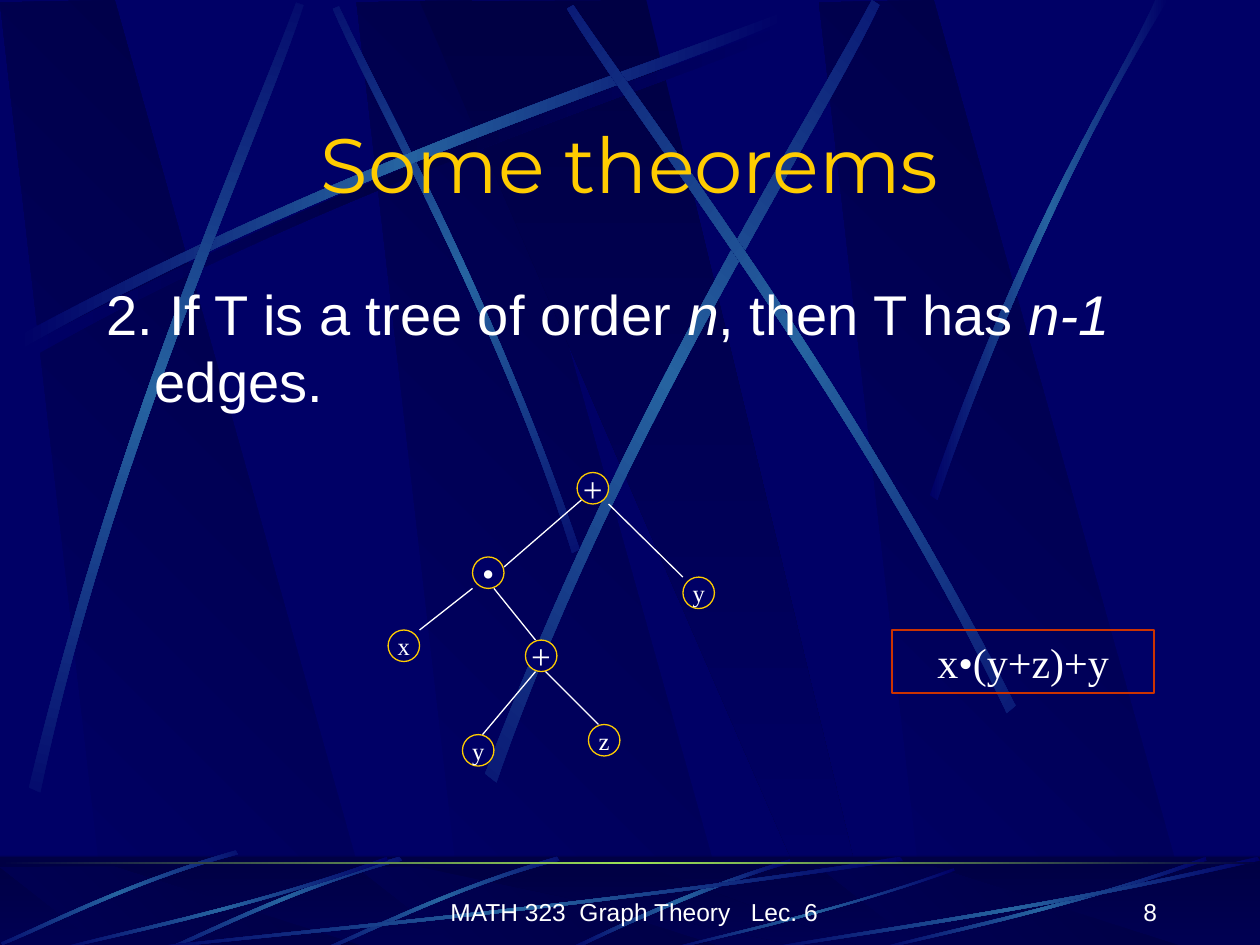
"""Build the slide on the edge count of a tree."""
import math

import lxml.etree
import pptx
import pptx.dml.color
import pptx.enum.shapes
import pptx.enum.text
import pptx.oxml.ns
import pptx.util

Inches, Pt = pptx.util.Inches, pptx.util.Pt
RGB = pptx.dml.color.RGBColor.from_string
KIND = pptx.enum.shapes.MSO_SHAPE
ALIGN = pptx.enum.text.PP_ALIGN
ANCHOR = pptx.enum.text.MSO_ANCHOR
qn = pptx.oxml.ns.qn

THEME = {
    "navy": "000066", "dark": "000044", "beam": "2663A0", "lime": "9CE157",
    "gold": "FFCC00", "white": "FFFFFF", "red": "CC3300",
    "title": 44, "body": 32, "sum": 24, "sign": 20, "small": 14, "line": 0.75,
    "head": "Montserrat", "sans": "Arial", "serif": "Times New Roman",
}
FALL = ["navy", "dark"]
RISE = ["dark", "navy"]
GLOW = ["navy", "beam", "navy"]
SHADE = ["navy", "dark", "navy"]
RULE = ["dark", "lime", "dark"]

WEDGE = [(0.86, 7.5), (3.02, 7.52), (0.91, 0), (0, 0.02)]
FAN = [(3.33, 0.01), (6.58, 7.51), (6.94, 7.51), (5.13, 0)]
SHIFTS = [2.83, 0, 6.5]
BANDS = [(0, 1), (6.88, 0.09)]

LONG = [(0.14, 2.67), (2.78, 1.25), (5.18, 0.51), (6.2, 0.1),
        (6.23, 0.16), (5.22, 0.61), (2.48, 1.43), (0.17, 2.77)]
ARC = [(3.17, 6.8), (2.3, 7.05), (1.62, 7.4), (1.31, 7.53),
       (1.32, 7.55), (1.63, 7.43), (2.4, 7.03), (3.19, 6.83)]
REED = [(3.08, 6.83), (1.93, 7.23), (0.88, 7.44), (0.43, 7.55),
        (0.42, 7.54), (0.86, 7.41), (2.06, 7.18), (3.07, 6.8)]
BEAMS = [
    (LONG, (0.06, 0.08), 0, SHADE),
    ([(4.6, 4.36), (3.91, 2.34), (3.02, 0.77), (2.69, 0.05),
      (2.64, 0.07), (2.95, 0.79), (3.98, 2.58), (4.54, 4.39)], (0, 0), 45, GLOW),
    (LONG, (0, 0), 0, GLOW),
    ([(0.23, 6.25), (0.93, 3.34), (1.97, 1.05), (2.35, 0.02),
      (2.41, 0.04), (2.07, 1.08), (0.86, 3.68), (0.32, 6.29)], (0, 0), 311.7, GLOW),
    ([(3.85, 6.14), (4.98, 3.2), (6.38, 1.02), (6.92, 0),
      (6.98, 0.04), (6.49, 1.08), (4.86, 3.55), (3.94, 6.21)], (0, 0), 321.6, GLOW),
    ([(8.06, 5.6), (6.7, 2.93), (5.16, 0.95), (4.55, 0.04),
      (4.5, 0.07), (5.07, 1.01), (6.85, 3.25), (7.99, 5.66)], (0, 0), 34.8, GLOW),
    ([(7.38, 3.93), (8.14, 1.73), (8.88, 0.66), (9.17, 0),
      (9.27, 0), (8.36, 1.45), (7.69, 3.22), (7.44, 3.97)], (0, 0), 0, GLOW),
]
STRIPS = [
    ([(6.27, 6.82), (5.37, 7.09), (4.77, 7.42), (4.48, 7.54),
      (4.53, 7.55), (4.9, 7.37), (5.71, 7), (6.28, 6.85)], (0, 0), 0, GLOW),
    (ARC, (1.25, 0), 314.9, GLOW),
    (ARC, (0, 0), 314.9, GLOW),
    (ARC, (-1.3, -0.05), 314.9, GLOW),
    ([(7.17, 6.83), (4.49, 7.23), (2.06, 7.44), (1.03, 7.55),
      (1, 7.54), (2.02, 7.41), (4.8, 7.18), (7.14, 6.8)], (0, 0), 0, GLOW),
    (REED, (0, 0), 0, GLOW),
    ([(7.58, 6.91), (6.58, 7.26), (5.67, 7.45), (5.28, 7.55),
      (5.27, 7.54), (5.65, 7.43), (6.69, 7.22), (7.57, 6.89)], (0, 0), 0, GLOW),
    (REED, (6.5, 0), 0, GLOW),
    ([(10, 6.83), (8.27, 7.23), (6.69, 7.44), (6.02, 7.55),
      (6, 7.54), (6.66, 7.41), (8.46, 7.18), (9.98, 6.8)], (0, 0), 0, GLOW),
]

STEM = [((4.67, 3.92), (4, 4.5))]
EDGES = [((4.83, 4), (5.42, 4.58)), ((3.75, 4.67), (3.33, 5)),
         ((3.92, 4.67), (4.25, 5.08)), ((4.25, 5.33), (3.83, 5.83)),
         ((4.33, 5.33), (4.75, 5.75))]
NODES = [("+", 4.58, 3.75), ("•", 3.75, 4.42), ("x", 3.08, 5), ("+", 4.17, 5.08),
         ("y", 3.67, 5.83), ("y", 5.42, 4.58), ("z", 4.67, 5.75)]
SIZE = 0.25
LABELS = [
    ((3.45, 6.9, 3.17, 0.5), ["MATH 323  Graph Theory   Lec. 6"], "small", "sans", "white",
     ALIGN.CENTER, ANCHOR.BOTTOM),
    ((7.2, 6.9, 2.08, 0.5), ["8"], "small", "sans", "white", ALIGN.RIGHT, ANCHOR.BOTTOM),
    ((0.75, 0.88, 8.5, 0.83), ["Some theorems"], "title", "head", "gold",
     ALIGN.CENTER, ANCHOR.MIDDLE),
    ((0.75, 2.17, 8.5, 1.25),
     ["2. If T is a tree of order ", "n", ", then T has ", "n-1", " edges."],
     "body", "sans", "white", ALIGN.LEFT, ANCHOR.TOP),
]
HANG = {"marL": 0.38, "indent": -0.38}
FORM = ((7.08, 5, 2.08, 0.5), ["x•(y+z)+y"])


def apply(item, values):
    for name, value in values.items():
        setattr(item, name, value)


def blend(shape, names, angle=0):
    shape.shadow.inherit = False
    shape.line.fill.background()
    shape.fill.gradient()
    shape.fill.gradient_angle = -angle % 360
    stops = shape._element.spPr.find(".//" + qn("a:gsLst"))
    stops.clear()
    for i, name in enumerate(names):
        stop = lxml.etree.SubElement(stops, qn("a:gs"), pos=str(i * 100000 // (len(names) - 1)))
        lxml.etree.SubElement(stop, qn("a:srgbClr"), val=THEME[name])


def turn(x, y, angle):
    c, s = math.cos(math.radians(angle)), math.sin(math.radians(angle))
    return x * c - y * s, x * s + y * c


def bend(shape):
    lines = shape._element.spPr.findall(".//" + qn("a:lnTo"))
    for side in (lines[:3], lines[4:7]):
        arc = lxml.etree.Element(qn("a:cubicBezTo"))
        side[0].addprevious(arc)
        for line in side:
            arc.append(line[0])
            line.getparent().remove(line)


def outline(slide, points, names, angle=0, spin=0):
    flat = [turn(Inches(x), Inches(y), -spin) for x, y in points]
    pen = slide.shapes.build_freeform(*flat[0], scale=1.0)
    pen.add_line_segments(flat[1:], close=True)
    shape = pen.convert_to_shape()
    w, h = shape.width / 2, shape.height / 2
    x, y = turn(shape.left + w, shape.top + h, spin)
    apply(shape, {"left": round(x - w), "top": round(y - h), "rotation": spin})
    blend(shape, names, angle)
    return shape


def glass(slide, top, scale):
    for dx in SHIFTS:
        outline(slide, [(x + dx, top + y * scale) for x, y in WEDGE], FALL, 315)
    outline(slide, [(x, top + y * scale) for x, y in FAN], RISE, 90)


def rays(slide, rows):
    for points, (dx, dy), spin, names in rows:
        (ax, ay), (bx, by) = points[0], points[3]
        slope = math.degrees(math.atan2(by - ay, bx - ax))
        angle = (spin + slope + 90) % 360 if spin else 0
        bend(outline(slide, [(x + dx, y + dy) for x, y in points], names, angle, spin))


def block(slide, kind, box):
    shape = slide.shapes.add_shape(kind, *map(Inches, box))
    shape.shadow.inherit = False
    return shape


def write(shape, parts, size, face, tint, align, anchor, wrap=True, gap=0):
    frame = shape.text_frame
    apply(frame, {"word_wrap": wrap, "vertical_anchor": anchor})
    para = frame.paragraphs[0]
    apply(para, {"alignment": align, "space_before": Pt(gap)})
    for i, text in enumerate(parts):
        run = para.add_run()
        run.text = text
        apply(run.font, {"size": Pt(THEME[size]), "name": THEME[face], "italic": i % 2 == 1})
        run.font.color.rgb = RGB(THEME[tint])
    return para


def border(line, tint):
    line.color.rgb = RGB(THEME[tint])
    line.width = Pt(THEME["line"])


def paint(shape, tint):
    shape.fill.solid()
    shape.fill.fore_color.rgb = RGB(THEME[tint])


def scene(slide):
    paint(slide.background, "navy")
    glass(slide, *BANDS[0])
    rays(slide, BEAMS)
    blend(block(slide, KIND.RECTANGLE, (0, 6.8, 10, 0.75)), RISE, 90)
    glass(slide, *BANDS[1])
    veil = block(slide, KIND.RECTANGLE, (0, 6.79, 10, 0.75))
    paint(veil, "dark")
    veil.line.fill.background()
    tint = veil._element.spPr.find(".//" + qn("a:srgbClr"))
    lxml.etree.SubElement(tint, qn("a:alpha"), val="50000")
    rays(slide, STRIPS)
    blend(block(slide, KIND.RECTANGLE, (0, 6.84, 10, 0.02)), RULE)


def join(slide, rows):
    for start, end in rows:
        edge = slide.shapes.add_connector(
            pptx.enum.shapes.MSO_CONNECTOR.STRAIGHT, *map(Inches, start + end))
        border(edge.line, "white")
        lxml.etree.SubElement(edge._element.spPr, qn("a:effectLst"))


def main():
    deck = pptx.Presentation()
    apply(deck, {"slide_width": Inches(10), "slide_height": Inches(7.5)})
    slide = deck.slides.add_slide(deck.slide_layouts[6])
    scene(slide)
    join(slide, STEM)
    for box, parts, size, *look in LABELS:
        label = slide.shapes.add_textbox(*map(Inches, box))
        para = write(label, parts, size, *look, gap=8 if size == "body" else 0)
        if size == "body":
            for name, value in HANG.items():
                para._p.get_or_add_pPr().set(name, str(Inches(value)))
    for text, x, y in NODES:
        node = block(slide, KIND.OVAL, (x, y, SIZE, SIZE))
        paint(node, "navy")
        border(node.line, "gold")
        size = "small" if text.isalpha() else "sign"
        write(node, [text], size, "serif", "white", ALIGN.CENTER, ANCHOR.MIDDLE, False)
    join(slide, EDGES)
    box, parts = FORM
    form = block(slide, KIND.RECTANGLE, box)
    form.fill.background()
    border(form.line, "red")
    write(form, parts, "sum", "serif", "white", ALIGN.CENTER, ANCHOR.TOP, gap=15)
    deck.save("out.pptx")


if __name__ == "__main__":
    main()
